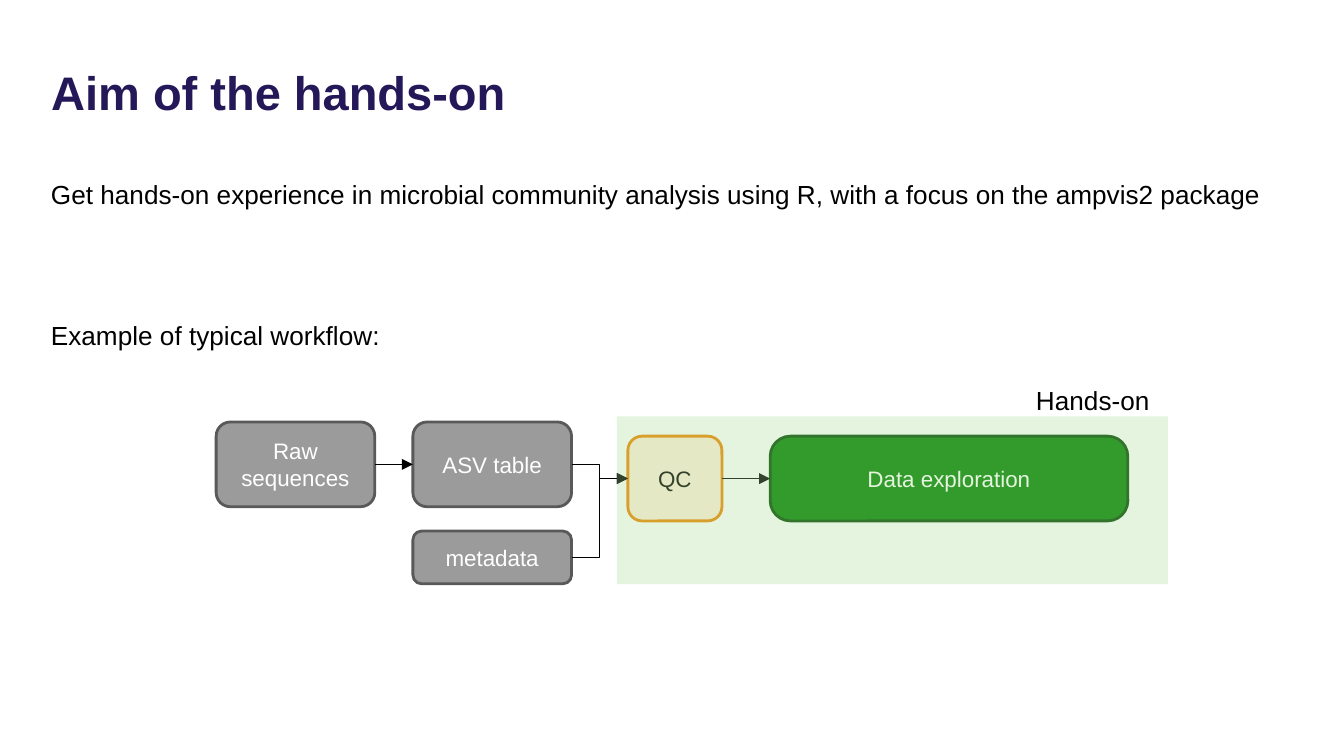
import dataclasses

import lxml.etree
import pptx
import pptx.dml.color
import pptx.enum.shapes
import pptx.enum.text
import pptx.oxml.ns
import pptx.util

Pt = pptx.util.Pt
Anchor = pptx.enum.text.MSO_ANCHOR
Align = pptx.enum.text.PP_ALIGN
Shape = pptx.enum.shapes.MSO_SHAPE
Connector = pptx.enum.shapes.MSO_CONNECTOR


@dataclasses.dataclass(frozen=True)
class Theme:
    """Colours, type sizes and line widths of the slide."""
    font: str = "Arial"
    title: str = "241858"
    ink: str = "000000"
    done: tuple = ("9B9B9B", "595959", "FFFFFF")
    check: tuple = ("FFEED9", "EF8600", "000000")
    explore: tuple = ("008000", "004800", "FFFFFF")
    highlight: str = "A9DC94"
    highlight_opacity: int = 30
    title_size: float = 25.2
    body_size: float = 14
    node_size: float = 12
    outline: float = 1.5
    arrow: float = 0.75


THEME = Theme()


def rgb(value):
    """Turn a hex string into a colour."""
    return pptx.dml.color.RGBColor.from_string(value)


def set_values(target, values):
    """Set each attribute of the target from a dict."""
    for name, value in values.items():
        setattr(target, name, value)


def write(shape, text, size, colour, bold=False, align=Align.LEFT, **frame_values):
    """Write one formatted paragraph into a shape."""
    frame = shape.text_frame
    set_values(frame, {"word_wrap": True, **frame_values})
    paragraph = frame.paragraphs[0]
    paragraph.alignment = align
    run = paragraph.add_run()
    run.text = text
    set_values(run.font, {"name": THEME.font, "size": Pt(size), "bold": bold})
    run.font.color.rgb = rgb(colour)


def add_title(slide, box, text):
    """Place the title placeholder in its box."""
    title = slide.shapes.title
    names = ("left", "top", "width", "height")
    set_values(title, dict(zip(names, map(Pt, box))))
    inset = Pt(7.2)
    write(title, text, THEME.title_size, THEME.title, bold=True,
          vertical_anchor=Anchor.BOTTOM, auto_size=pptx.enum.text.MSO_AUTO_SIZE.NONE,
          margin_left=inset, margin_top=inset, margin_right=inset, margin_bottom=inset)


def add_label(slide, box, text):
    """Add a line of body text."""
    label = slide.shapes.add_textbox(*map(Pt, box))
    write(label, text, THEME.body_size, THEME.ink,
          auto_size=pptx.enum.text.MSO_AUTO_SIZE.SHAPE_TO_FIT_TEXT)


def add_node(slide, box, text, colours, rounding=0.1667):
    """Add a rounded workflow step."""
    fill, line, ink = colours
    node = slide.shapes.add_shape(Shape.ROUNDED_RECTANGLE, *map(Pt, box))
    node.adjustments[0] = rounding
    node.shadow.inherit = False
    node.fill.solid()
    node.fill.fore_color.rgb = rgb(fill)
    node.line.color.rgb = rgb(line)
    node.line.width = Pt(THEME.outline)
    write(node, text, THEME.node_size, ink, align=Align.CENTER,
          vertical_anchor=Anchor.MIDDLE)
    return node


def add_arrow(slide, start, end, kind):
    """Join the right side of one step to the left side of the next."""
    arrow = slide.shapes.add_connector(kind, 0, 0, 0, 0)
    arrow.begin_connect(start, 3)
    arrow.end_connect(end, 1)
    arrow.line.color.rgb = rgb(THEME.ink)
    arrow.line.width = Pt(THEME.arrow)
    qn = pptx.oxml.ns.qn
    lxml.etree.SubElement(arrow.line._get_or_add_ln(), qn("a:tailEnd"), type="triangle")
    lxml.etree.SubElement(arrow._element.spPr, qn("a:effectLst"))


def add_workflow(slide, box):
    """Draw the steps from raw data to exploration."""
    left, top, width, height = box
    step_width, step_height = 85, 45.4
    table_left, qc_left, explore_left = left + 105.4, left + 220.6, left + 296.8
    lower_top, metadata_height = top + 7.6, 28.3
    raw = add_node(slide, (left, top, step_width, step_height),
                   "Raw sequences", THEME.done)
    table = add_node(slide, (table_left, top, step_width, step_height),
                     "ASV table", THEME.done)
    qc = add_node(slide, (qc_left, lower_top, 50.4, step_height), "QC", THEME.check)
    explore = add_node(slide, (explore_left, lower_top, left + width - explore_left, step_height),
                       "Data exploration", THEME.explore, 0.238)
    metadata = add_node(
        slide, (table_left, top + height - metadata_height, step_width, metadata_height),
        "metadata", THEME.done)
    for start, end, kind in (
        (raw, table, Connector.STRAIGHT),
        (table, qc, Connector.ELBOW),
        (metadata, qc, Connector.ELBOW),
        (qc, explore, Connector.STRAIGHT),
    ):
        add_arrow(slide, start, end, kind)


def add_highlight(slide, box):
    """Lay a translucent panel over the hands-on steps and label it."""
    left, top, width, height = box
    panel = slide.shapes.add_shape(Shape.RECTANGLE, *map(Pt, box))
    panel.shadow.inherit = False
    panel.fill.solid()
    panel.fill.fore_color.rgb = rgb(THEME.highlight)
    panel.line.fill.background()
    colour = panel._element.spPr.find(".//" + pptx.oxml.ns.qn("a:srgbClr"))
    lxml.etree.SubElement(colour, pptx.oxml.ns.qn("a:alpha"),
                          val=str(THEME.highlight_opacity * 1000))
    add_label(slide, (left + width - 77.8, top - 20.9, 97.2, 24.5), "Hands-on")


def main():
    """Build and save the slide."""
    presentation = pptx.Presentation()
    set_values(presentation, {"slide_width": Pt(720), "slide_height": Pt(405)})
    slide = presentation.slides.add_slide(presentation.slide_layouts[5])
    margin, text_width = 20.2, 666.7
    add_title(slide, (margin, 25.9, 671, 45.4), "Aim of the hands-on")
    add_label(slide, (margin, 92.2, text_width, 24.5),
              "Get hands-on experience in microbial community analysis using R, "
              "with a focus on the ampvis2 package")
    add_workflow(slide, (115.8, 226.1, 488.4, 86.7))
    add_label(slide, (margin, 167.8, text_width, 24.5), "Example of typical workflow:")
    add_highlight(slide, (330.5, 223.1, 295.2, 89.9))
    presentation.save("out.pptx")


if __name__ == "__main__":
    main()
